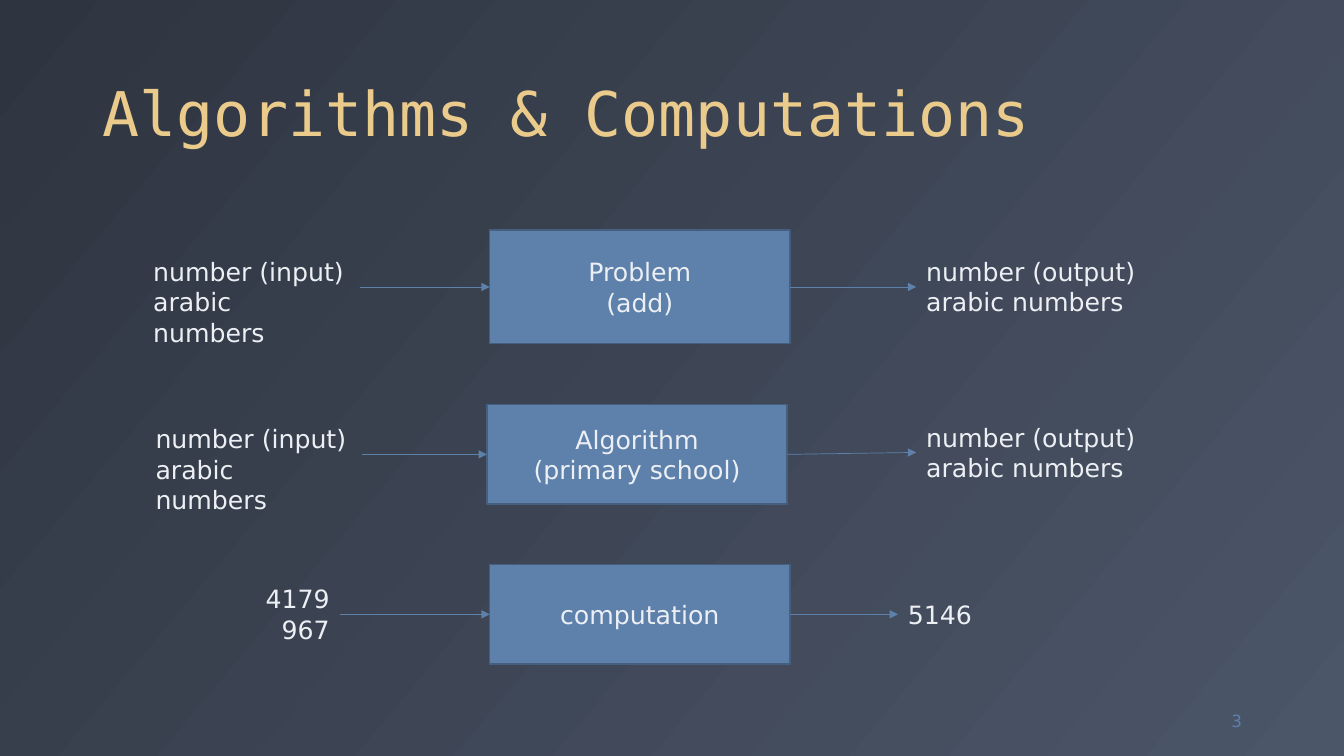
from dataclasses import dataclass

import pptx
import pptx.dml.color
import pptx.enum.shapes
import pptx.enum.text
import pptx.oxml
import pptx.oxml.ns
import pptx.util
from pptx.util import Cm

RGBColor = pptx.dml.color.RGBColor
PP_ALIGN = pptx.enum.text.PP_ALIGN
MSO_ANCHOR = pptx.enum.text.MSO_ANCHOR

NIGHT = RGBColor(0x2E, 0x34, 0x40)
SLATE = RGBColor(0x4C, 0x56, 0x69)
GOLD = RGBColor(0xEB, 0xCB, 0x8B)
BLUE = RGBColor(0x5E, 0x81, 0xAC)
DARK_BLUE = RGBColor(0x46, 0x5F, 0x7F)
SNOW = RGBColor(0xEC, 0xEF, 0xF3)

SANS = "DejaVu Sans"
MONO = "DejaVu Sans Mono"

PROCESS_WIDTH = 7.57
LINE_HEIGHT = 0.77
TEXT_MARGINS = 0.25


@dataclass
class Label:
    """Text beside a process; lengths in centimetres."""
    lines: list
    left: float
    width: float
    middle: float
    align: PP_ALIGN = PP_ALIGN.LEFT


@dataclass
class Process:
    lines: list
    left: float
    middle: float
    height: float


FLOWS = [
    (Label(["number (input)", "arabic numbers"], 3.61, 5.46, 7.23),
     Process(["Problem", "(add)"], 12.34, 7.23, 2.87),
     Label(["number (output)", "arabic numbers"], 23.09, 5.92, 7.23)),
    (Label(["number (input)", "arabic numbers"], 3.67, 5.46, 11.45),
     Process(["Algorithm", "(primary school)"], 12.27, 11.45, 2.51),
     Label(["number (output)", "arabic numbers"], 23.09, 5.92, 11.4)),
    (Label(["4179", "967"], 6.4, 2.16, 15.48, PP_ALIGN.RIGHT),
     Process(["computation"], 12.34, 15.48, 2.51),
     Label(["5146"], 22.63, 2.16, 15.48)),
]


def write_lines(frame, lines, size=18, color=SNOW, font=SANS,
                align=PP_ALIGN.LEFT, anchor=MSO_ANCHOR.TOP):
    frame.word_wrap = True
    frame.vertical_anchor = anchor
    frame.text = "\n".join(lines)
    for paragraph in frame.paragraphs:
        paragraph.alignment = align
        paragraph.font.size = pptx.util.Pt(size)
        paragraph.font.name = font
        paragraph.font.color.rgb = color


def add_text(slide, left, top, width, height, lines, **style):
    box = slide.shapes.add_textbox(Cm(left), Cm(top), Cm(width), Cm(height))
    write_lines(box.text_frame, lines, **style)
    return box.text_frame


def add_label(slide, label):
    height = len(label.lines) * LINE_HEIGHT + TEXT_MARGINS
    add_text(slide, label.left, label.middle - height / 2, label.width, height,
             label.lines, align=label.align)


def add_process(slide, process):
    box = slide.shapes.add_shape(
        pptx.enum.shapes.MSO_SHAPE.RECTANGLE, Cm(process.left),
        Cm(process.middle - process.height / 2), Cm(PROCESS_WIDTH), Cm(process.height))
    box.shadow.inherit = False
    box.fill.solid()
    box.fill.fore_color.rgb = BLUE
    box.line.color.rgb = DARK_BLUE
    box.line.width = pptx.util.Pt(1)
    write_lines(box.text_frame, process.lines,
                align=PP_ALIGN.CENTER, anchor=MSO_ANCHOR.MIDDLE)


def add_arrow(slide, x1, y1, x2, y2):
    arrow = slide.shapes.add_connector(
        pptx.enum.shapes.MSO_CONNECTOR.STRAIGHT, Cm(x1), Cm(y1), Cm(x2), Cm(y2))
    arrow.line.color.rgb = BLUE
    arrow.line.width = pptx.util.Pt(0.5)
    namespace = pptx.oxml.ns.nsdecls("a")
    arrow.line._get_or_add_ln().append(
        pptx.oxml.parse_xml(f'<a:tailEnd {namespace} type="triangle"/>'))
    arrow._element.spPr.append(pptx.oxml.parse_xml(f"<a:effectLst {namespace}/>"))


def add_flow(slide, source, process, result):
    add_label(slide, source)
    add_process(slide, process)
    add_label(slide, result)
    add_arrow(slide, source.left + source.width, source.middle,
              process.left, process.middle)
    add_arrow(slide, process.left + PROCESS_WIDTH, process.middle,
              result.left, result.middle)


def paint_background(slide):
    fill = slide.background.fill
    fill.gradient()
    fill.gradient_angle = 320
    for stop, color in zip(fill.gradient_stops, (NIGHT, SLATE)):
        stop.color.rgb = color


def main():
    presentation = pptx.Presentation()
    presentation.slide_width = Cm(33.87)
    presentation.slide_height = Cm(19.05)
    slide = presentation.slides.add_slide(presentation.slide_layouts[6])
    paint_background(slide)

    title = add_text(slide, 2.34, 0.46, 29.21, 3.45, ["Algorithms & Computations"],
                     size=44, color=GOLD, font=MONO, anchor=MSO_ANCHOR.BOTTOM)
    title.paragraphs[0].line_spacing = 0.9
    add_text(slide, 29.44, 17.65, 2.11, 1.02, ["3"], size=12, color=BLUE,
             align=PP_ALIGN.RIGHT, anchor=MSO_ANCHOR.MIDDLE)
    for flow in FLOWS:
        add_flow(slide, *flow)

    presentation.save("out.pptx")


if __name__ == "__main__":
    main()
